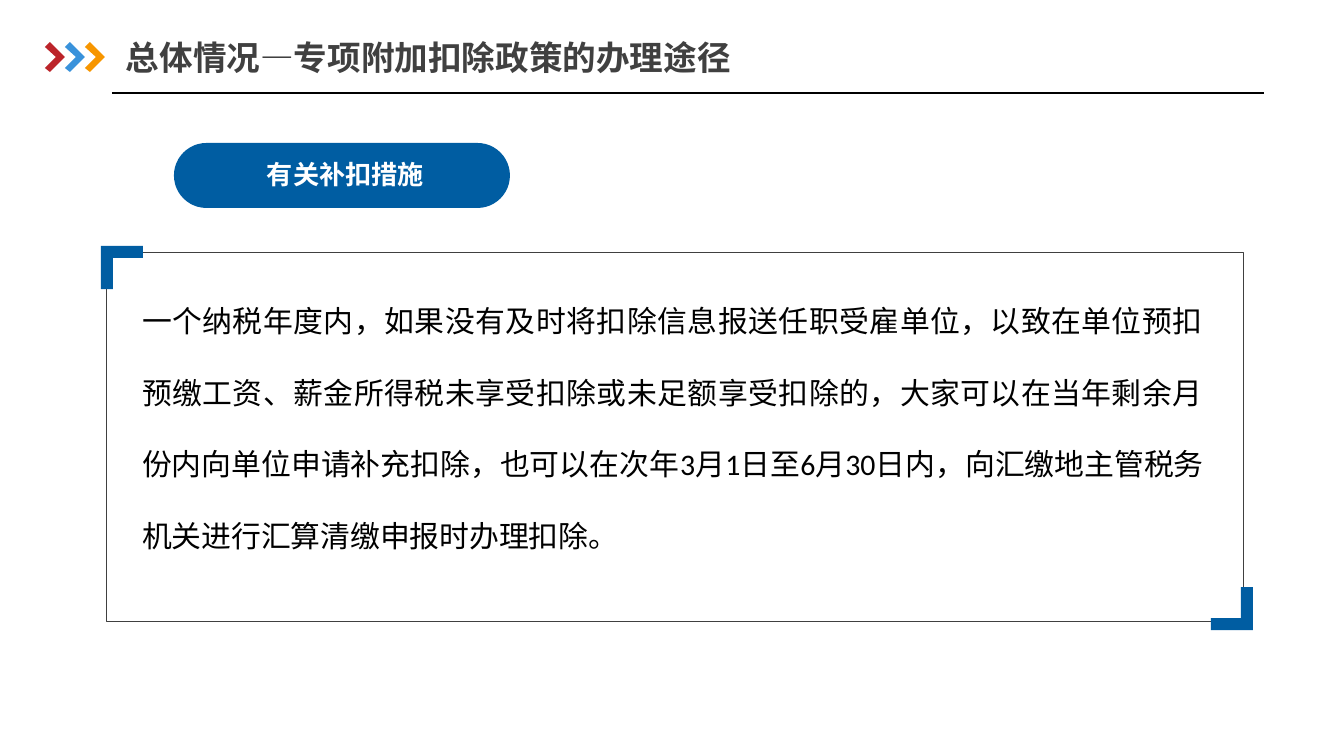
from lxml import etree
from pptx import Presentation
from pptx.dml.color import RGBColor
from pptx.enum.shapes import MSO_CONNECTOR, MSO_SHAPE
from pptx.enum.text import MSO_ANCHOR, MSO_AUTO_SIZE, PP_ALIGN
from pptx.oxml.ns import qn
from pptx.util import Emu, Pt

ROUNDED = MSO_SHAPE.ROUNDED_RECTANGLE
STRAIGHT = MSO_CONNECTOR.STRAIGHT
LEFT, CENTER, JUSTIFY = PP_ALIGN.LEFT, PP_ALIGN.CENTER, PP_ALIGN.JUSTIFY
TOP, MIDDLE = MSO_ANCHOR.TOP, MSO_ANCHOR.MIDDLE
FIXED, GROW = MSO_AUTO_SIZE.NONE, MSO_AUTO_SIZE.SHAPE_TO_FIT_TEXT
CHINESE_FONT, LATIN_FONT = "Noto Sans CJK SC", "Calibri"
BLUE, GREY, BLACK, WHITE = "005DA2", "404040", "000000", "FFFFFF"
CHEVRON_COLORS = ("BC242A", "3992DB", "F79600")
CHEVRON = ((5, 30), (0, 26), (11, 15), (0, 5), (5, 0), (20, 15))
CORNER = ((0, 0), (42, 0), (42, 12), (12, 12), (12, 43), (0, 43))
EMU_PER_PX = 914400 / 134.4


def px(length):
    """Turn pixels into EMU."""
    return Emu(round(length * EMU_PER_PX))


def color(value):
    """Turn a hex string into a colour."""
    return RGBColor.from_string(value)


def write(frame, text, *, size, fill, font=CHINESE_FONT, bold=False,
          align=LEFT, spacing=None, before=None):
    """Write one formatted paragraph into a text frame."""
    paragraph = frame.paragraphs[0]
    paragraph.alignment = align
    paragraph.line_spacing = spacing
    if before is not None:
        paragraph.space_before = Pt(before)
    run = paragraph.add_run()
    run.text = text
    run.font.size, run.font.bold = Pt(size), bold
    run.font.color.rgb = color(fill)
    run.font.name = font
    properties = run._r.get_or_add_rPr()
    etree.SubElement(properties, qn("a:ea"), typeface=CHINESE_FONT)


class SlideBuilder:
    """Hold the style and the current slide."""

    def __init__(self, slide):
        """Keep the shapes of the slide."""
        self.shapes = slide.shapes

    def style(self, shape, fill=None, line=None, width=0.25):
        """Set the fill and outline of a shape."""
        shape.shadow.inherit = False
        if fill:
            shape.fill.solid()
            shape.fill.fore_color.rgb = color(fill)
        else:
            shape.fill.background()
        if line:
            shape.line.color.rgb = color(line)
            shape.line.width = Pt(width)
        else:
            shape.line.fill.background()

    def box(self, left, top, width, height, rounding, **look):
        """Add a rectangle with the given corner rounding."""
        shape = self.shapes.add_shape(
            ROUNDED, px(left), px(top), px(width), px(height))
        shape.adjustments[0] = rounding
        self.style(shape, **look)

    def outline(self, left, top, points, fill, direction=1):
        """Add a filled polygon, turned half round when direction is -1."""
        places = [(left + direction * x, top + direction * y)
                  for x, y in points]
        builder = self.shapes.build_freeform(*places[0], scale=EMU_PER_PX)
        builder.add_line_segments(places[1:], close=True)
        self.style(builder.convert_to_shape(), fill)

    def text(self, left, top, width, height, text, *, anchor=TOP, inset=0,
             fit=FIXED, **look):
        """Add a text box."""
        shape = self.shapes.add_textbox(
            px(left), px(top), px(width), px(height))
        frame = shape.text_frame
        frame.word_wrap = True
        frame.auto_size = fit
        frame.vertical_anchor = anchor
        frame.margin_left = frame.margin_right = 0
        frame.margin_top = frame.margin_bottom = px(inset)
        write(frame, text, **look)

    def line(self, left, right, top, stroke, width):
        """Add a horizontal line."""
        connector = self.shapes.add_connector(
            STRAIGHT, px(left), px(top), px(right), px(top))
        connector.line.color.rgb = color(stroke)
        connector.line.width = Pt(width)
        etree.SubElement(connector._element.spPr, qn("a:effectLst"))


def main():
    """Build and save the presentation."""
    presentation = Presentation()
    presentation.slide_width, presentation.slide_height = px(1344), px(756)
    slide = presentation.slides.add_slide(presentation.slide_layouts[6])
    builder = SlideBuilder(slide)

    builder.text(126, 30, 694, 55, "总体情况—专项附加扣除政策的办理途径",
                 anchor=MIDDLE, inset=7, size=18, fill=GREY, bold=True)
    for index, fill in enumerate(CHEVRON_COLORS):
        builder.outline(45 + 20 * index, 42, CHEVRON, fill)
    builder.line(112, 1264, 93, BLACK, 0.75)

    builder.box(174, 143, 336, 65, 0.5, fill=BLUE)
    builder.text(146, 153, 399, 46, "有关补扣措施", anchor=MIDDLE, size=14,
                 fill=WHITE, bold=True, align=CENTER, spacing=0.9, before=10)

    builder.box(106, 252, 1137, 369, 0, line=GREY)
    builder.text(
        142, 267, 1062, 286,
        "一个纳税年度内，如果没有及时将扣除信息报送任职受雇单位，"
        "以致在单位预扣预缴工资、薪金所得税未享受扣除或未足额享受扣除的，"
        "大家可以在当年剩余月份内向单位申请补充扣除，"
        "也可以在次年3月1日至6月30日内，"
        "向汇缴地主管税务机关进行汇算清缴申报时办理扣除。",
        fit=GROW, size=16, fill=BLACK, font=LATIN_FONT, align=JUSTIFY,
        spacing=2.0)
    builder.outline(101, 246, CORNER, BLUE)
    builder.outline(1253, 630, CORNER, BLUE, direction=-1)

    presentation.save("out.pptx")


if __name__ == "__main__":
    main()
